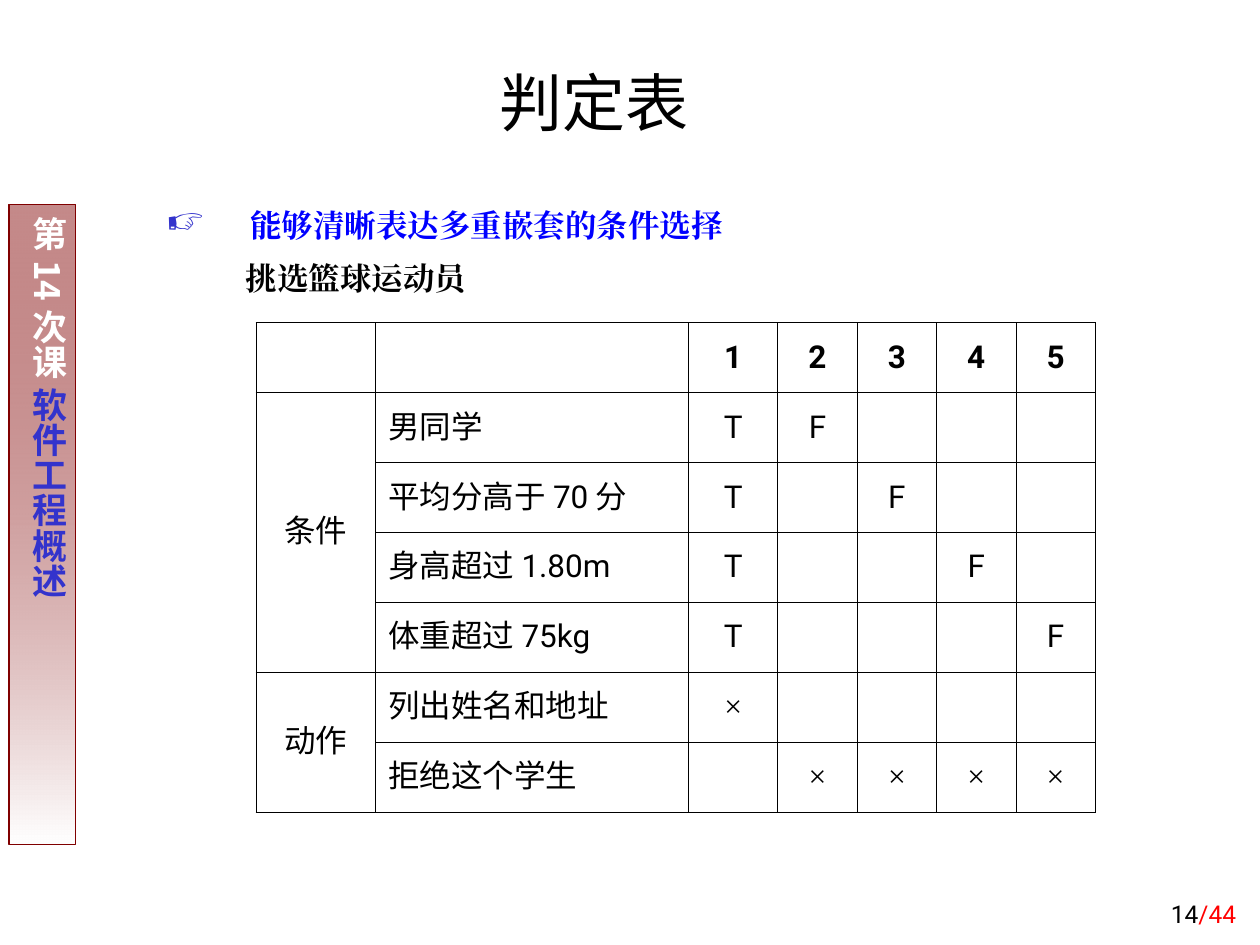
from lxml.etree import SubElement
from pptx import Presentation
from pptx.dml.color import RGBColor
from pptx.enum.shapes import MSO_SHAPE as Shape
from pptx.enum.text import MSO_ANCHOR as Anchor, PP_ALIGN as Align
from pptx.oxml.ns import qn
from pptx.util import Cm, Pt

COLORS = {
    "black": "000000",
    "white": "FFFFFF",
    "maroon": "800000",
    "indigo": "3333CC",
    "blue": "0000FF",
    "red": "FF0000",
}
SANS, SERIF, CJK = "Roboto", "Times New Roman", "Noto Sans CJK SC"

COLUMN_WIDTHS = [2.41, 6.31, 1.8] + [1.6] * 4
ROW_HEIGHT = 1.41
GROUPS = [(1, 4, "条件"), (5, 6, "动作")]
RULES = [
    ("男同学", "TF   "),
    ("平均分高于70分", "T F  "),
    ("身高超过1.80m", "T  F "),
    ("体重超过75kg", "T   F"),
    ("列出姓名和地址", "×    "),
    ("拒绝这个学生", " ××××"),
]


def rgb(color):
    return RGBColor.from_string(COLORS[color])


def write(paragraph, parts, size, name, bold=False, align=Align.LEFT):
    paragraph.alignment = align
    for text, color in parts:
        run = paragraph.add_run()
        run.text = text
        run.font.color.rgb = rgb(color)
        for font in (paragraph.font, run.font):
            font.size, font.name, font.bold = Pt(size), name, bold
        SubElement(run._r.get_or_add_rPr(), qn("a:ea"), typeface=name)


def add_text(slide, box, anchor=Anchor.TOP):
    frame = slide.shapes.add_textbox(*map(Cm, box)).text_frame
    frame.word_wrap = True
    frame.vertical_anchor = anchor
    return frame


def add_sidebar(slide, box):
    shape = slide.shapes.add_shape(Shape.RECTANGLE, *map(Cm, box))
    shape.shadow.inherit = False
    shape.line.color.rgb = rgb("maroon")
    shape.line.width = Pt(0.75)
    shape.fill.gradient()
    shape.fill.gradient_angle = 270
    for stop, color, position in zip(shape.fill.gradient_stops, ("maroon", "white"), (0, 1)):
        stop.color.rgb = rgb(color)
        stop.position = position
    first_color = shape._element.spPr.find(".//" + qn("a:gs")).find(qn("a:srgbClr"))
    SubElement(first_color, qn("a:alpha"), val="46000")
    frame = shape.text_frame
    frame.word_wrap = True
    frame.vertical_anchor = Anchor.TOP
    frame.margin_left = frame.margin_right = Cm(0.13)
    frame.margin_top = frame.margin_bottom = Cm(0.25)
    frame._txBody.bodyPr.set("vert", "eaVert")
    parts = [("第14次课 ", "white"), ("软件工程概述", "indigo")]
    write(frame.paragraphs[0], parts, 20, CJK, True, Align.CENTER)


def add_title(slide, box):
    frame = add_text(slide, box, Anchor.BOTTOM)
    write(frame.paragraphs[0], [("判定表", "black")], 36, SANS, align=Align.CENTER)


def add_page_number(slide, box):
    frame = add_text(slide, box, Anchor.BOTTOM)
    write(frame.paragraphs[0], [("14", "black"), ("/44", "red")], 14, SANS, align=Align.RIGHT)


def add_bullet(paragraph, hanging):
    properties = paragraph._p.get_or_add_pPr()
    properties.set("marL", str(hanging))
    properties.set("indent", str(-hanging))
    bullet_color = SubElement(properties, qn("a:buClr"))
    SubElement(bullet_color, qn("a:srgbClr"), val=COLORS["indigo"])
    SubElement(properties, qn("a:buSzPct"), val="120000")
    SubElement(properties, qn("a:buChar"), char="☞")


def add_body(slide, box):
    frame = add_text(slide, box)
    heading, example = frame.paragraphs[0], frame.add_paragraph()
    add_bullet(heading, Cm(1.7))
    example._p.get_or_add_pPr().set("marL", str(Cm(1.6)))
    write(heading, [("能够清晰表达多重嵌套的条件选择", "blue")], 18, SERIF, True)
    write(example, [("挑选篮球运动员", "black")], 18, SERIF, True)
    for paragraph in frame.paragraphs:
        paragraph.line_spacing = 1.4


def format_cell(cell):
    properties = cell._tc.get_or_add_tcPr()
    for side in ("lnL", "lnR", "lnT", "lnB"):
        border = SubElement(properties, qn(f"a:{side}"), w=str(Pt(0.45)))
        fill = SubElement(border, qn("a:solidFill"))
        SubElement(fill, qn("a:srgbClr"), val=COLORS["black"])
    cell.fill.solid()
    cell.fill.fore_color.rgb = rgb("white")
    cell.vertical_anchor = Anchor.MIDDLE


def fill_cell(cell, text, bold=False, align=Align.CENTER):
    name = SERIF if text == "×" else SANS
    write(cell.text_frame.paragraphs[0], [(text, "black")], 18, name, bold, align)


def add_decision_table(slide, left, top):
    row_count = len(RULES) + 1
    width, height = Cm(sum(COLUMN_WIDTHS)), Cm(ROW_HEIGHT * row_count)
    table = slide.shapes.add_table(
        row_count, len(COLUMN_WIDTHS), Cm(left), Cm(top), width, height
    ).table
    table.first_row = table.horz_banding = False
    for column, column_width in zip(table.columns, COLUMN_WIDTHS):
        column.width = Cm(column_width)
    for row in table.rows:
        row.height = Cm(ROW_HEIGHT)
    for cell in table.iter_cells():
        format_cell(cell)
    for number in range(1, 6):
        fill_cell(table.cell(0, number + 1), str(number), bold=True)
    for first, last, label in GROUPS:
        table.cell(first, 0).merge(table.cell(last, 0))
        fill_cell(table.cell(first, 0), label)
    for row_index, (label, marks) in enumerate(RULES, 1):
        fill_cell(table.cell(row_index, 1), label, align=Align.LEFT)
        for column_index, mark in enumerate(marks, 2):
            if mark != " ":
                fill_cell(table.cell(row_index, column_index), mark)


def main():
    presentation = Presentation()
    presentation.slide_width, presentation.slide_height = Cm(25.4), Cm(19.05)
    slide = presentation.slides.add_slide(presentation.slide_layouts[6])
    add_sidebar(slide, (0.18, 4.12, 1.35, 12.9))
    add_page_number(slide, (19.89, 17.58, 5.28, 1.27))
    add_body(slide, (3.1, 3.73, 21.41, 2.39))
    add_title(slide, (4.29, 0.91, 15.39, 2.01))
    add_decision_table(slide, 5.16, 6.5)
    presentation.save("out.pptx")


if __name__ == "__main__":
    main()
